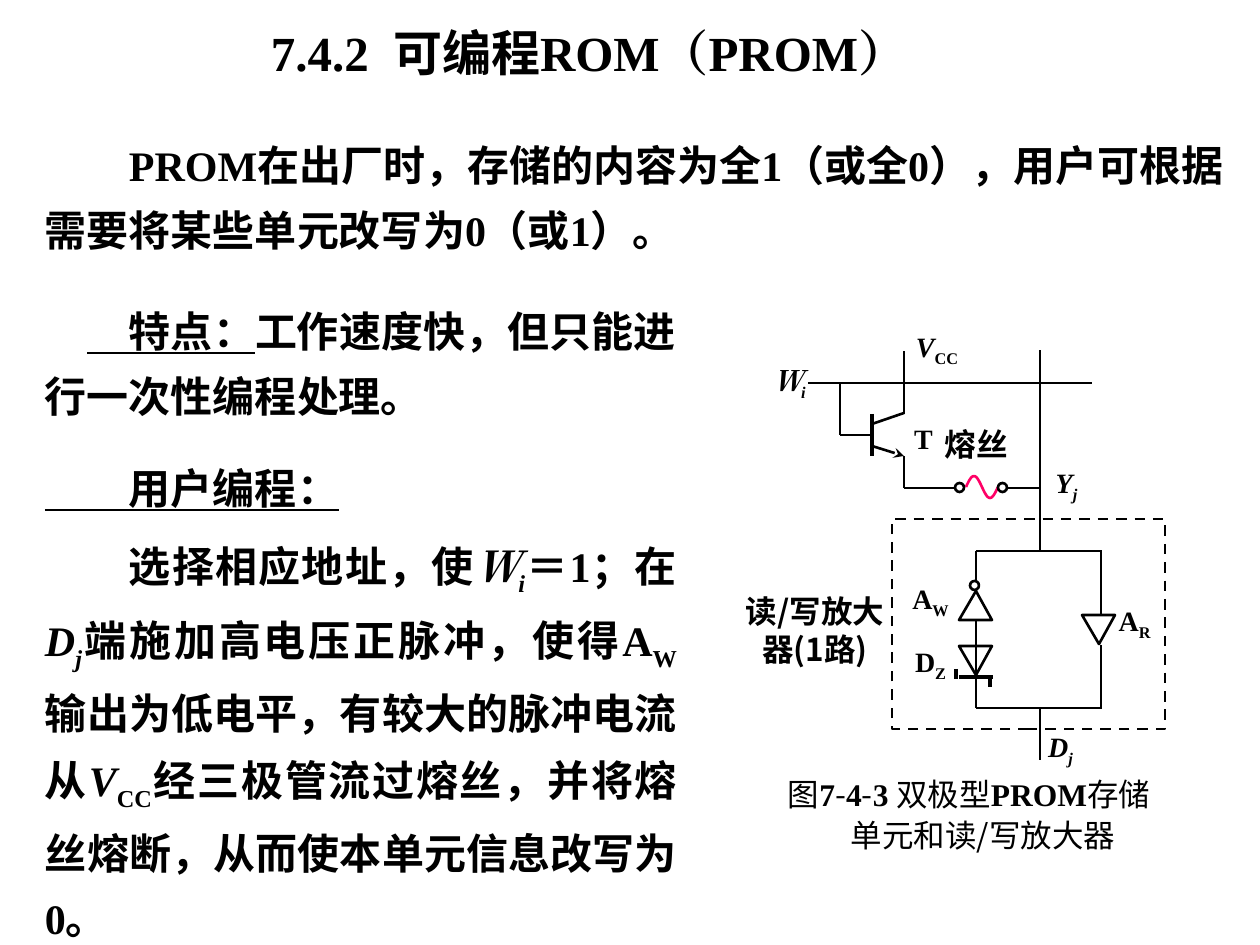
import math
from pptx import Presentation
from pptx.dml import color
from pptx.enum import dml, shapes, text
from pptx.oxml import ns, xmlchemy
from pptx.util import Pt

SCALE = 914400 / 126
SERIF, SANS = "Times New Roman", "Noto Sans CJK SC"
BLACK, FUSE = "000000", "FF0066"


def px(length):
    return round(length * SCALE)


def paint(value):
    return color.RGBColor.from_string(value)


class Slide:
    def __init__(self, deck, layout):
        self.page = deck.slides.add_slide(deck.slide_layouts[layout])
        self.shapes = self.page.shapes

    def stroke(self, shape, width=1.5, ink=BLACK):
        shape.line.color.rgb = paint(ink)
        shape.line.width = Pt(width)

    def line(self, x1, y1, x2, y2, width=1.5, arrow=False):
        wire = self.shapes.add_connector(shapes.MSO_CONNECTOR.STRAIGHT, *map(px, (x1, y1, x2, y2)))
        self.stroke(wire, width)
        if arrow:
            tail = xmlchemy.OxmlElement("a:tailEnd")
            tail.set("type", "stealth")
            wire._element.spPr.find(ns.qn("a:ln")).append(tail)
        wire._element.spPr.append(xmlchemy.OxmlElement("a:effectLst"))

    def outline(self, kind, left, top, width, height):
        shape = self.shapes.add_shape(kind, *map(px, (left, top, width, height)))
        shape.shadow.inherit = False
        shape.fill.background()
        self.stroke(shape)
        return shape

    def free(self, points, closed=True, ink=BLACK):
        start, *rest = [(px(x), px(y)) for x, y in points]
        builder = self.shapes.build_freeform(*start)
        builder.add_line_segments(rest, close=closed)
        shape = builder.convert_to_shape()
        shape.shadow.inherit = False
        shape.fill.background()
        self.stroke(shape, ink=ink)

    def triangle(self, left, base, tip):
        self.free([(left, base), (left + 33, base), (left + 17, tip)])

    def add_spans(self, paragraph, spans, size):
        for words, marks in spans:
            span = paragraph.add_run()
            span.text = words
            font = span.font
            font.size = Pt(size)
            font.bold = "b" in marks
            font.italic = "i" in marks
            font.underline = "u" in marks
            font.color.rgb = paint(BLACK)
            font.name = SERIF if "t" in marks else SANS
            properties = span._r.get_or_add_rPr()
            east = xmlchemy.OxmlElement("a:ea")
            east.set("typeface", font.name)
            properties.find(ns.qn("a:latin")).addnext(east)
            if "s" in marks:
                properties.set("baseline", "-25000")

    def fill(self, box, paragraphs, size, align, wrap, inset=(0, 0)):
        frame = box.text_frame
        frame.word_wrap = wrap
        frame.auto_size = text.MSO_AUTO_SIZE.NONE
        frame.vertical_anchor = text.MSO_ANCHOR.TOP
        frame.margin_left = frame.margin_right = px(inset[0])
        frame.margin_top = frame.margin_bottom = px(inset[1])
        for index, (spans, indent, spacing, before) in enumerate(paragraphs):
            para = frame.add_paragraph() if index else frame.paragraphs[0]
            para.alignment = align
            para.line_spacing = spacing
            para.space_before = Pt(before)
            properties = para._p.get_or_add_pPr()
            properties.set("marL", "0")
            properties.set("indent", str(px(indent)))
            properties.append(xmlchemy.OxmlElement("a:buNone"))
            self.add_spans(para, spans, size)

    def placeholder(self, index, place, paragraphs, size=24, wrap=True):
        box = self.page.placeholders[index]
        box.left, box.top, box.width, box.height = map(px, place)
        self.fill(box, paragraphs, size, text.PP_ALIGN.LEFT, wrap, (13, 6))

    def label(self, place, paragraphs, size=16, align=text.PP_ALIGN.CENTER, wrap=False):
        box = self.shapes.add_textbox(*map(px, place))
        self.fill(box, paragraphs, size, align, wrap)


def add_text(slide):
    slide.placeholder(0, (258, 16, 745, 72), [
        ([("7.4.2  ", "tb"), ("可编程", "b"), ("ROM（PROM）", "tb")], 0, 1.0, 0)], 28, False)
    slide.placeholder(1, (32, 118, 1228, 144), [
        ([("PROM", "tb"), ("在出厂时，存储的内容为全", "b"), ("1", "tb"), ("（或全", "b"),
          ("0", "tb"), ("），用户可根据需要将某些单元改写为", "b"), ("0", "tb"),
          ("（或", "b"), ("1", "tb"), ("）。", "b")], 84, 1.3, 0)])
    slide.placeholder(2, (32, 284, 683, 144), [
        ([("　特点：", "bu"), ("工作速度快，但只能进行一次性编程处理。", "b")], 42, 1.3, 0)])
    slide.placeholder(3, (32, 456, 658, 489), [
        ([("　　用户编程：", "bu")], 0, 1.0, 0),
        ([("选择相应地址，使", "b"), ("Ｗ", "tbi"), ("i", "tbis"), ("＝", "b"), ("1", "tb"),
          ("；在", "b"), ("D", "tbi"), ("j", "tbis"), ("端施加高电压正脉冲，使得", "b"),
          ("A", "tb"), ("W", "tbs"), ("输出为低电平，有较大的脉冲电流从", "b"),
          ("V", "tbi"), ("CC", "tbs"),
          ("经三极管流过熔丝，并将熔丝熔断，从而使本单元信息改写为", "b"),
          ("0", "tb"), ("。", "b")], 84, 1.3, 6)])
    slide.page.placeholders[3].text_frame.paragraphs[1].alignment = text.PP_ALIGN.JUSTIFY
    unused = slide.page.placeholders[4]._element
    unused.getparent().remove(unused)


def add_circuit(slide):
    slide.free([(966 + 32 * step / 24, 487 - 11 * math.sin(math.tau * step / 24))
                for step in range(25)], closed=False, ink=FUSE)
    amplifier = slide.outline(shapes.MSO_SHAPE.RECTANGLE, 892, 519, 273, 210)
    amplifier.line.dash_style = dml.MSO_LINE.DASH
    for left, top in ((955, 483), (998, 483), (970, 581)):
        slide.outline(shapes.MSO_SHAPE.OVAL, left, top, 9, 9)
    transistor = [(872, 435, 840, 435), (872, 424, 904, 413), (904, 414, 904, 351),
                  (904, 488, 904, 456), (840, 435, 840, 383)]
    buses = [(808, 383, 1092, 383), (956, 488, 904, 488), (1040, 488, 1008, 488),
             (1040, 551, 1040, 350), (1040, 760, 1040, 708)]
    branches = [(976, 551, 1102, 551), (976, 708, 1102, 708), (976, 582, 976, 551),
                (976, 621, 976, 708), (1101, 552, 1101, 614), (1101, 645, 1101, 707)]
    for ends in transistor + buses + branches:
        slide.line(*ends)
    slide.line(872, 414, 872, 456, 2)
    slide.line(872, 446, 904, 456, arrow=True)
    for zener in ((959, 677, 993, 677), (956, 669, 956, 679), (990, 677, 990, 687)):
        slide.line(*zener, 2.25)
    for left, base, tip in ((959, 646, 675), (959, 620, 591), (1082, 615, 644)):
        slide.triangle(left, base, tip)


def add_labels(slide):
    for left, top, width, name, sub, marks, sub_marks in (
            (916, 330, 42, "V", "CC", "tbi", "tbs"), (770, 364, 39, "Ｗ", "i", "tbi", "tbis"),
            (1056, 466, 21, "Y", "j", "tbi", "tbis"), (912, 582, 37, "A", "W", "tb", "tbs"),
            (915, 645, 31, "D", "Z", "tb", "tbs"), (1119, 604, 31, "A", "R", "tb", "tbs"),
            (1048, 730, 25, "D", "j", "tbi", "tbis")):
        slide.label((left, top, width, 38), [([(name, marks), (sub, sub_marks)], 0, 1.0, 0)])
    slide.label((914, 422, 19, 34), [([("T", "tb")], 0, 1.0, 0)])
    slide.label((945, 425, 63, 38), [([("熔丝", "b")], 0, 1.0, 0)], 18)
    slide.label((736, 592, 158, 76), [
        ([(words, "b")], 0, 1.0, 0) for words in ("读/写放大", "器(1路)")], 18)
    slide.label((788, 771, 420, 83), [
        ([("图", ""), ("7", "tb"), ("-", ""), ("4", "tb"), ("-", ""), ("3 ", "tb"),
          ("双极型", ""), ("PROM", "tb"), ("存储", "")], 0, 1.1, 0),
        ([("单元和读/写放大器", "")], 63, 1.1, 0)], 18, text.PP_ALIGN.LEFT, True)


def main():
    deck = Presentation()
    deck.slide_width, deck.slide_height = px(1260), px(945)
    slide = Slide(deck, 4)
    add_text(slide)
    add_circuit(slide)
    add_labels(slide)
    deck.save("out.pptx")


if __name__ == "__main__":
    main()
